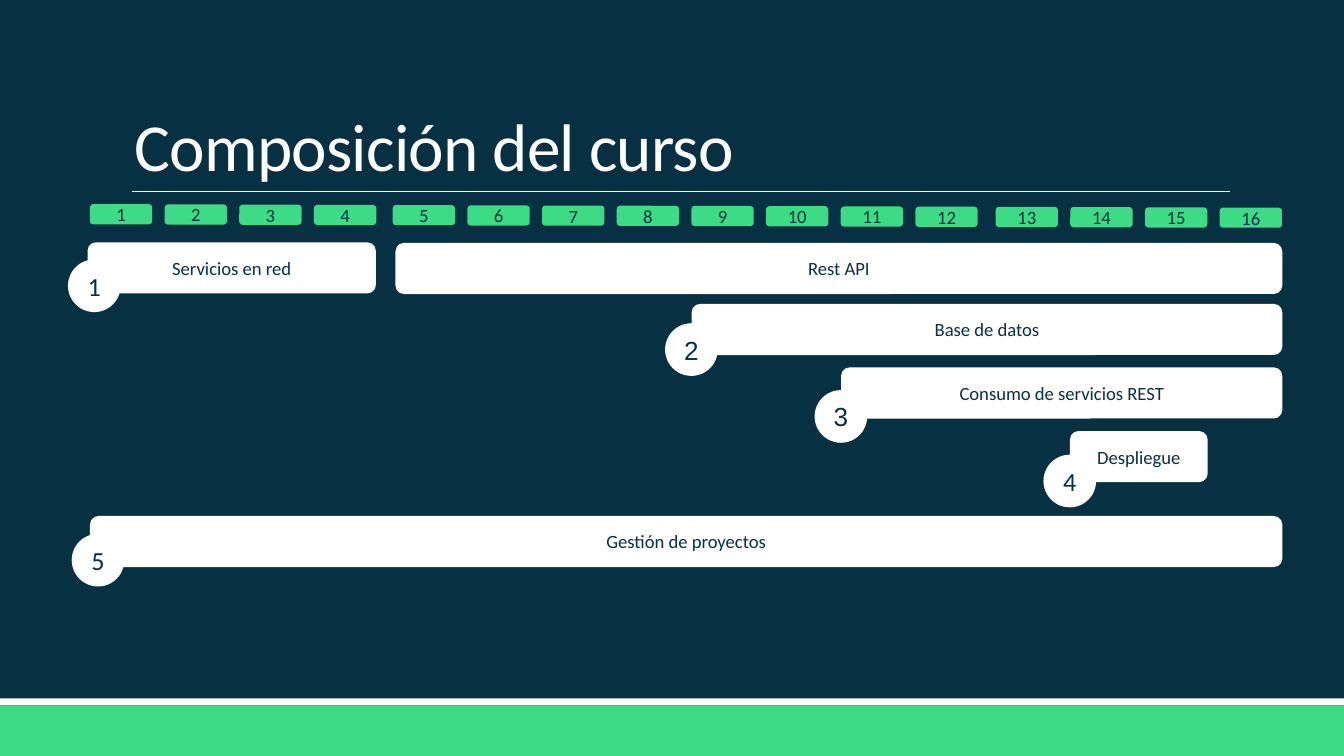
"""Build the course composition slide: a sixteen-week timeline with numbered modules."""
from dataclasses import dataclass

from lxml import etree
from pptx import Presentation
from pptx.dml.color import RGBColor
from pptx.enum import shapes, text
from pptx.oxml import ns
from pptx.util import Pt


@dataclass(frozen=True)
class Theme:
    navy: RGBColor = RGBColor.from_string("073042")
    green: RGBColor = RGBColor.from_string("3DDB85")
    white: RGBColor = RGBColor.from_string("FFFFFF")
    font: str = "Calibri"
    number_font: str = "Arial"
    title_size: int = 36
    number_size: int = 14
    label_size: int = 10


theme = Theme()
kinds = shapes.MSO_SHAPE


def style_text(frame, words, size, color, font, align):
    frame.text = words
    paragraph = frame.paragraphs[0]
    paragraph.alignment = align
    run_font = paragraph.runs[0].font
    run_font.name = font
    run_font.size = Pt(size)
    run_font.color.rgb = color


def add_block(kind, box, fill, words="", size=theme.label_size, font=theme.font):
    block = slide.shapes.add_shape(kind, *(Pt(length) for length in box))
    block.shadow.inherit = False
    block.fill.solid()
    block.fill.fore_color.rgb = fill
    block.line.fill.background()
    if words:
        frame = block.text_frame
        frame.margin_left = frame.margin_right = 0
        frame.margin_top = frame.margin_bottom = 0
        frame.vertical_anchor = text.MSO_ANCHOR.MIDDLE
        style_text(frame, words, size, theme.navy, font, text.PP_ALIGN.CENTER)


deck = Presentation()
deck.slide_width = Pt(720)
deck.slide_height = Pt(405)
slide = deck.slides.add_slide(deck.slide_layouts[5])
slide.background.fill.solid()
slide.background.fill.fore_color.rgb = theme.navy

add_block(kinds.RECTANGLE, (0, 378, 720, 27), theme.green)
add_block(kinds.RECTANGLE, (0, 374.2, 720, 3.8), theme.white)

title_rule = slide.shapes.add_connector(
    shapes.MSO_CONNECTOR.STRAIGHT, Pt(70.8), Pt(102.6), Pt(658.8), Pt(102.6)
)
title_rule.line.color.rgb = theme.white
title_rule.line.width = Pt(0.5)
etree.SubElement(title_rule.element.spPr, ns.qn("a:effectLst"))

title = slide.shapes.title
title.left, title.top, title.width, title.height = Pt(64.8), Pt(17), Pt(594), Pt(85.6)
heading = title.text_frame
heading.word_wrap = True
heading.auto_size = text.MSO_AUTO_SIZE.NONE
heading.vertical_anchor = text.MSO_ANCHOR.BOTTOM
style_text(heading, "Composición del curso", theme.title_size, theme.white,
           theme.font, text.PP_ALIGN.LEFT)
heading.paragraphs[0].line_spacing = 0.85
for run_properties in heading.paragraphs[0].runs[0].font._element.iter(ns.qn("a:rPr")) if hasattr(
    heading.paragraphs[0].runs[0].font, "_element"
) else [heading.paragraphs[0].runs[0]._r.get_or_add_rPr()]:
    run_properties.set("spc", "-40")

week_pitch = 40
for first_week, last_week, group_left in [(1, 4, 48.2), (5, 12, 210.4), (13, 16, 533.4)]:
    for week in range(first_week, last_week + 1):
        left = group_left + (week - first_week) * week_pitch
        top = 109.4 + 0.12 * (week - 1)
        add_block(kinds.ROUNDED_RECTANGLE, (left, top, 33.4, 10.8), theme.green, str(week))

course_end = 687
modules = [
    ("Servicios en red", 46.9, 129.8, 201.4),
    ("Rest API", 211.9, 130.1, course_end),
    ("Base de datos", 370.5, 162.8, course_end),
    ("Consumo de servicios REST", 450.6, 196.8, course_end),
    ("Despliegue", 573.2, 230.9, 647),
    ("Gestión de proyectos", 48.2, 276.4, course_end),
]
for name, left, top, right in modules:
    add_block(kinds.ROUNDED_RECTANGLE, (left, top, right - left, 27.4), theme.white, name)

badges = [
    ("1", 36.4, 139, theme.font),
    ("2", 356.3, 173.2, theme.number_font),
    ("3", 436.4, 209, theme.number_font),
    ("4", 559, 243.6, theme.font),
    ("5", 38.4, 286, theme.font),
]
for number, left, top, font in badges:
    add_block(kinds.OVAL, (left, top, 28.2, 28.2), theme.white, number, theme.number_size, font)

deck.save("out.pptx")
